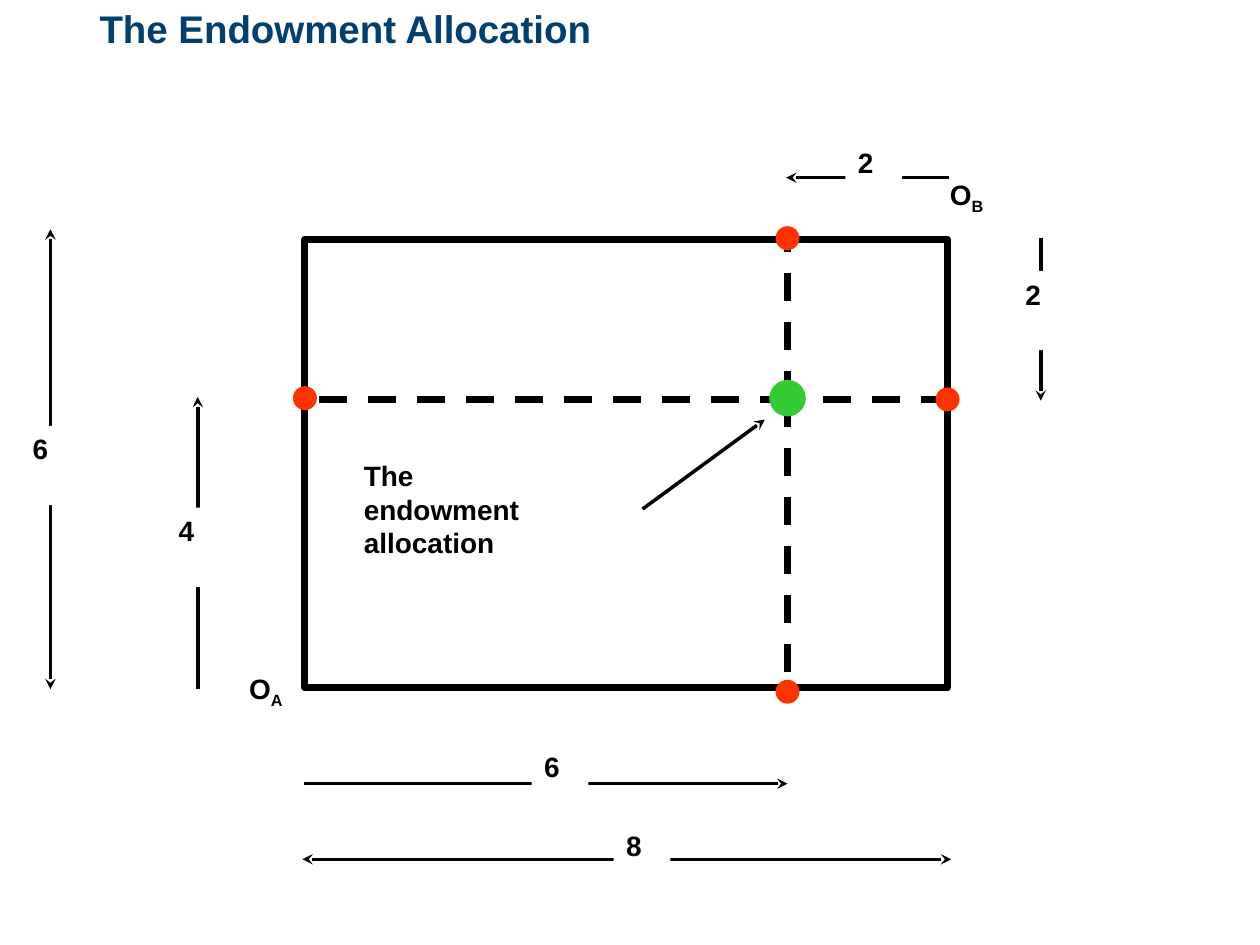
from dataclasses import dataclass

from lxml import etree
from pptx import Presentation
from pptx.dml.color import RGBColor
from pptx.enum.dml import MSO_LINE
from pptx.enum.shapes import MSO_CONNECTOR, MSO_SHAPE
from pptx.enum.text import MSO_ANCHOR, PP_ALIGN
from pptx.oxml.ns import qn
from pptx.util import Inches, Pt

STRAIGHT = MSO_CONNECTOR.STRAIGHT
RECTANGLE = MSO_SHAPE.RECTANGLE
OVAL = MSO_SHAPE.OVAL
DASH = MSO_LINE.DASH
TOP = MSO_ANCHOR.TOP
LEFT = PP_ALIGN.LEFT


@dataclass(frozen=True)
class Theme:
    font: str = "Arial"
    title_size: int = 22
    label_size: int = 16
    thin: int = 2
    thick: int = 4
    black: RGBColor = RGBColor(0x00, 0x00, 0x00)
    white: RGBColor = RGBColor(0xFF, 0xFF, 0xFF)
    title: RGBColor = RGBColor(0x00, 0x3F, 0x6E)
    edge_point: RGBColor = RGBColor(0xFF, 0x33, 0x00)
    endowment: RGBColor = RGBColor(0x33, 0xCC, 0x33)


THEME = Theme()
BOX_LEFT, BOX_TOP, BOX_WIDTH, BOX_HEIGHT = 2.42, 1.9, 5.1, 3.56
BOX_RIGHT = BOX_LEFT + BOX_WIDTH
BOX_BOTTOM = BOX_TOP + BOX_HEIGHT
ENDOWMENT_X, ENDOWMENT_Y = 6.25, 3.17
LABEL_WIDTH, LABEL_HEIGHT = 0.45, 0.63


def write_text(shape, text, *, subscript="", size=THEME.label_size,
               color=THEME.black, margins=(0.1, 0.05)):
    frame = shape.text_frame
    frame.word_wrap = True
    frame.vertical_anchor = TOP
    frame.margin_left = frame.margin_right = Inches(margins[0])
    frame.margin_top = frame.margin_bottom = Inches(margins[1])
    paragraph = frame.paragraphs[0]
    paragraph.alignment = LEFT
    paragraph.text = text
    if subscript:
        run = paragraph.add_run()
        run.text = subscript
        run.font._element.set("baseline", "-25000")
    for run in paragraph.runs:
        run.font.name = THEME.font
        run.font.size = Pt(size)
        run.font.bold = True
        run.font.color.rgb = color


def add_text(slide, text, left, top, width, height, **text_format):
    box = slide.shapes.add_textbox(
        Inches(left), Inches(top), Inches(width), Inches(height))
    write_text(box, text, **text_format)


def add_filled(slide, kind, left, top, width, height, color):
    shape = slide.shapes.add_shape(
        kind, Inches(left), Inches(top), Inches(width), Inches(height))
    shape.shadow.inherit = False
    shape.fill.solid()
    shape.fill.fore_color.rgb = color
    shape.line.fill.background()
    return shape


def add_point(slide, center_x, center_y, diameter, color):
    radius = diameter / 2
    add_filled(slide, OVAL, center_x - radius, center_y - radius,
               diameter, diameter, color)


def add_label(slide, text, left, top):
    label = add_filled(slide, RECTANGLE, left, top,
                       LABEL_WIDTH, LABEL_HEIGHT, THEME.white)
    write_text(label, text)


def add_box(slide):
    box = slide.shapes.add_shape(
        RECTANGLE, Inches(BOX_LEFT), Inches(BOX_TOP),
        Inches(BOX_WIDTH), Inches(BOX_HEIGHT))
    box.shadow.inherit = False
    box.fill.background()
    box.line.color.rgb = THEME.black
    box.line.width = Pt(THEME.thick)


def add_line(slide, start, end, *, width=THEME.thin, dashed=False, arrows=()):
    line = slide.shapes.add_connector(
        STRAIGHT, *(Inches(value) for value in (*start, *end)))
    line.line.color.rgb = THEME.black
    line.line.width = Pt(width)
    if dashed:
        line.line.dash_style = DASH
    properties = line._element.spPr
    outline = properties.find(qn("a:ln"))
    for arrow in arrows:
        etree.SubElement(outline, qn(f"a:{arrow}"), type="stealth")
    etree.SubElement(properties, qn("a:effectLst"))


def add_guides(slide):
    center = (ENDOWMENT_X, ENDOWMENT_Y)
    guides = [
        (center, (ENDOWMENT_X, 5.48)),
        (center, (2.44, ENDOWMENT_Y)),
        (center, (ENDOWMENT_X, 1.89)),
        ((7.53, ENDOWMENT_Y), center),
    ]
    for start, end in guides:
        add_line(slide, start, end, width=THEME.thick, dashed=True)


def add_dimensions(slide):
    both, tail = ("headEnd", "tailEnd"), ("tailEnd",)
    dimensions = [
        ("8", (2.4, 6.82), (7.55, 6.82), both, (4.87, 6.53)),
        ("6", (0.4, 1.82), (0.4, 5.47), both, (0.16, 3.38)),
        ("4", (1.57, 5.47), (1.57, 3.15), tail, (1.32, 4.03)),
        ("6", (2.41, 6.22), (6.25, 6.22), tail, (4.22, 5.9)),
        ("2", (8.26, 1.89), (8.26, 3.18), tail, (8.04, 2.15)),
        ("2", (7.53, 1.41), (6.24, 1.41), tail, (6.71, 1.11)),
    ]
    for text, start, end, arrows, position in dimensions:
        add_line(slide, start, end, arrows=arrows)
        add_label(slide, text, *position)


def add_points(slide):
    edge_points = [
        (ENDOWMENT_X, BOX_TOP - 0.01),
        (ENDOWMENT_X, BOX_BOTTOM + 0.03),
        (BOX_LEFT, ENDOWMENT_Y - 0.01),
        (BOX_RIGHT, ENDOWMENT_Y),
    ]
    for center_x, center_y in edge_points:
        add_point(slide, center_x, center_y, 0.19, THEME.edge_point)
    add_point(slide, ENDOWMENT_X, ENDOWMENT_Y - 0.01, 0.29, THEME.endowment)


def main():
    presentation = Presentation()
    presentation.slide_width = Inches(10)
    presentation.slide_height = Inches(7.5)
    slide = presentation.slides.add_slide(presentation.slide_layouts[6])

    add_box(slide)
    add_guides(slide)
    add_dimensions(slide)
    add_points(slide)
    add_text(slide, "O", 1.88, 5.28, 0.76, LABEL_HEIGHT, subscript="A")
    add_text(slide, "O", 7.44, 1.36, 0.76, LABEL_HEIGHT, subscript="B")
    add_text(slide, "The\vendowment\vallocation", 2.79, 3.59, 2.67, 1.7)
    add_line(slide, (5.1, 4.04), (6.07, 3.33), arrows=("tailEnd",))
    add_text(slide, "The Endowment Allocation", 0.79, 0.04, 6.5, 0.92,
             size=THEME.title_size, color=THEME.title, margins=(0, 0))

    presentation.save("out.pptx")


if __name__ == "__main__":
    main()
